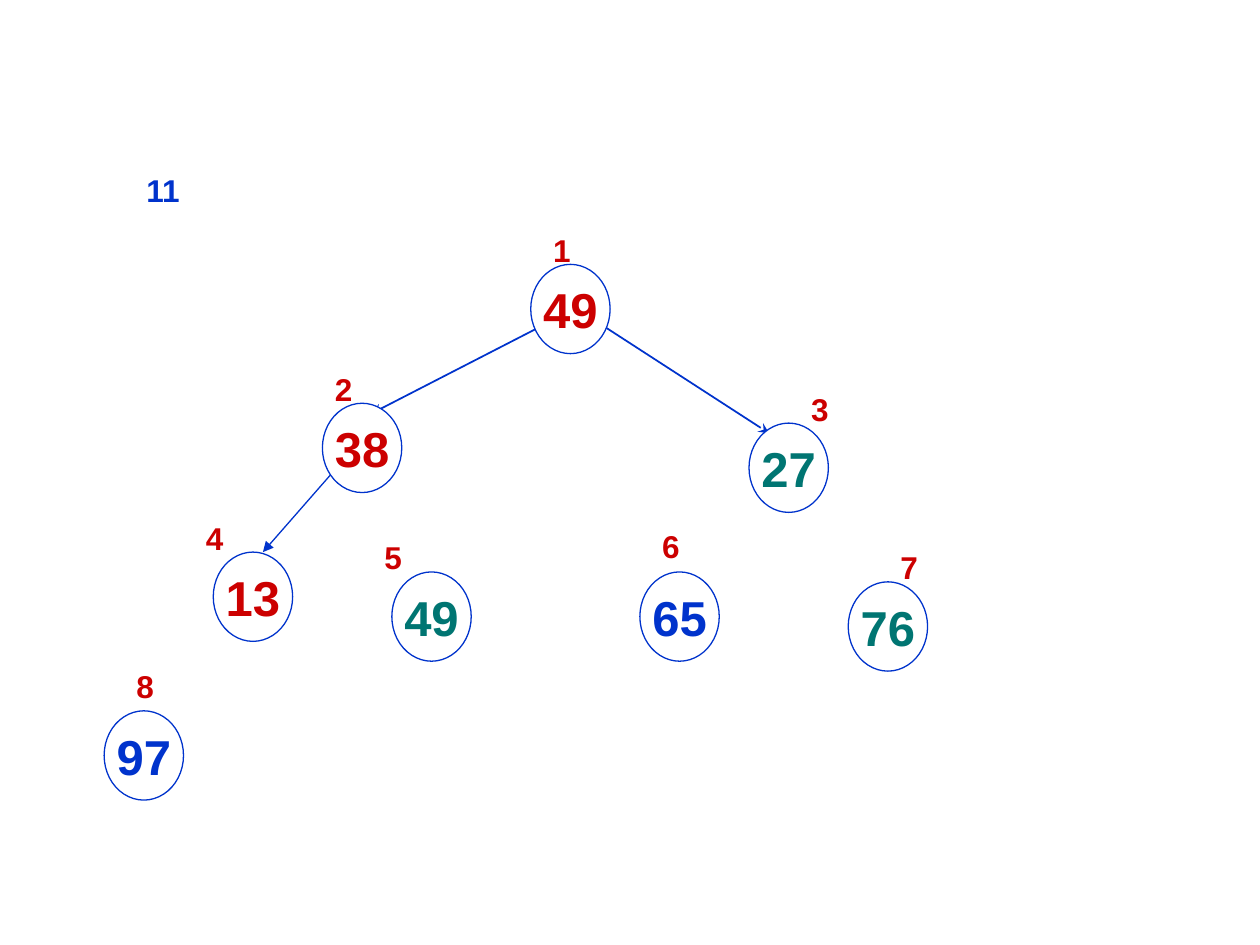
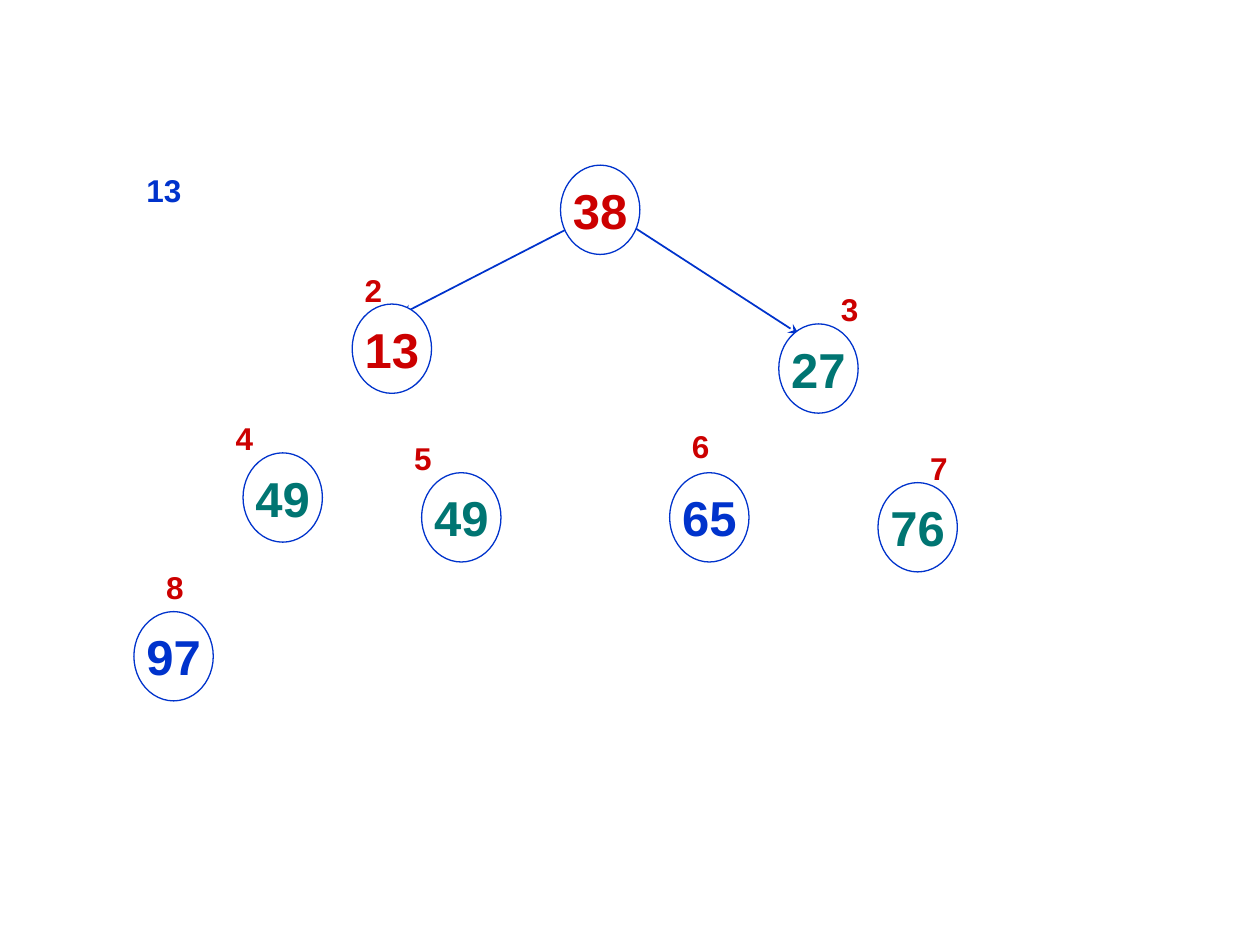
from dataclasses import dataclass

from lxml import etree
from pptx import Presentation
from pptx.dml.color import RGBColor
from pptx.enum.shapes import MSO_CONNECTOR, MSO_SHAPE
from pptx.enum.text import MSO_ANCHOR, PP_ALIGN
from pptx.oxml.ns import qn
from pptx.util import Cm, Pt

STRAIGHT = MSO_CONNECTOR.STRAIGHT
OVAL = MSO_SHAPE.OVAL
MIDDLE = MSO_ANCHOR.MIDDLE
CENTER = PP_ALIGN.CENTER


@dataclass(frozen=True)
class Theme:
    """Colours, type sizes and line widths of the heap slides."""
    blue: RGBColor = RGBColor(0x00, 0x33, 0xCC)
    red: RGBColor = RGBColor(0xCC, 0x00, 0x00)
    teal: RGBColor = RGBColor(0x00, 0x75, 0x72)
    white: RGBColor = RGBColor(0xFF, 0xFF, 0xFF)
    font: str = "Arial"
    key_size: int = 28
    label_size: int = 18
    outline: float = 0.75
    edge: float = 1


THEME = Theme()
NODE_W, NODE_H = 1.6, 1.8
LABEL_W, LABEL_H = 0.86, 1.02

NODE_SLOTS = {
    1: (10.7, 5.33), 2: (6.5, 8.13), 3: (15.1, 8.53), 4: (4.3, 11.13),
    5: (7.9, 11.53), 6: (12.9, 11.53), 7: (17.1, 11.73), 8: (2.1, 14.33),
}
LABEL_OFFSETS = {
    1: (0.2, -0.8), 2: (0, -0.8), 3: (1, -0.8), 4: (-0.4, -0.8),
    5: (-0.4, -0.8), 6: (0.2, -1.04), 7: (0.8, -0.8), 8: (0.4, -1),
}
EDGES = {
    2: ((11, 6.53), (7.5, 8.33), THEME.edge, "stealth"),
    3: ((12.1, 6.53), (15.5, 8.73), THEME.edge, "stealth"),
    4: ((6.7, 9.53), (5.3, 11.13), THEME.outline, "triangle"),
}


def format_text(tf, size, color):
    """Apply the bold theme font to every run of a text frame."""
    for p in tf.paragraphs:
        for r in p.runs:
            r.font.name = THEME.font
            r.font.size = Pt(size)
            r.font.bold = True
            r.font.color.rgb = color


def add_label(s, x, y, text, color, width=LABEL_W):
    """Add a small bold label with its box corner at x, y."""
    tf = s.shapes.add_textbox(Cm(x), Cm(y), Cm(width), Cm(LABEL_H)).text_frame
    tf.word_wrap = width > LABEL_W
    tf.text = text
    format_text(tf, THEME.label_size, color)


def add_node(s, x, y, key, color):
    """Add a heap node holding its key."""
    sp = s.shapes.add_shape(OVAL, Cm(x), Cm(y), Cm(NODE_W), Cm(NODE_H))
    sp.shadow.inherit = False
    sp.fill.solid()
    sp.fill.fore_color.rgb = THEME.white
    sp.line.color.rgb = THEME.blue
    sp.line.width = Pt(THEME.outline)
    tf = sp.text_frame
    tf.word_wrap = False
    tf.vertical_anchor = MIDDLE
    tf.text = str(key)
    tf.paragraphs[0].alignment = CENTER
    format_text(tf, THEME.key_size, color)


def add_edge(s, start, end, width, head):
    """Add an arrow from a parent to its child."""
    points = [Cm(v) for v in (*start, *end)]
    cxn = s.shapes.add_connector(STRAIGHT, *points)
    cxn.line.color.rgb = THEME.blue
    cxn.line.width = Pt(width)
    etree.SubElement(cxn.line._get_or_add_ln(), qn("a:tailEnd"), type=head)
    etree.SubElement(cxn._element.spPr, qn("a:effectLst"))


def add_heap_slide(prs, output, nodes, labelled, children, shift=(0, 0)):
    """Add a slide with the output key and the heap, moved by shift."""
    s = prs.slides.add_slide(prs.slide_layouts[6])

    def moved(point, offset=shift):
        """Return the point moved by the offset."""
        return point[0] + offset[0], point[1] + offset[1]

    for child in children:
        start, end, width, head = EDGES[child]
        add_edge(s, moved(start), moved(end), width, head)
    for i in labelled:
        x, y = moved(moved(NODE_SLOTS[i]), LABEL_OFFSETS[i])
        add_label(s, x, y, str(i), THEME.red)
    for slot, (key, color) in zip(NODE_SLOTS.values(), nodes):
        add_node(s, *moved(slot), key, color)
    add_label(s, 2.7, 3.33, output, THEME.blue, width=3.8)


def main():
    """Build the two heap sort steps."""
    prs = Presentation()
    prs.slide_width, prs.slide_height = Cm(25.4), Cm(19.05)
    red, teal, blue = THEME.red, THEME.teal, THEME.blue
    lower_nodes = [(49, teal), (65, blue), (76, teal), (97, blue)]
    add_heap_slide(
        prs, "11",
        [(49, red), (38, red), (27, teal), (13, red)] + lower_nodes,
        labelled=range(1, 9), children=(2, 3, 4))
    add_heap_slide(
        prs, "13",
        [(38, red), (13, red), (27, teal), (49, teal)] + lower_nodes,
        labelled=range(2, 9), children=(2, 3), shift=(0.6, -2))
    prs.save("out.pptx")


if __name__ == "__main__":
    main()
